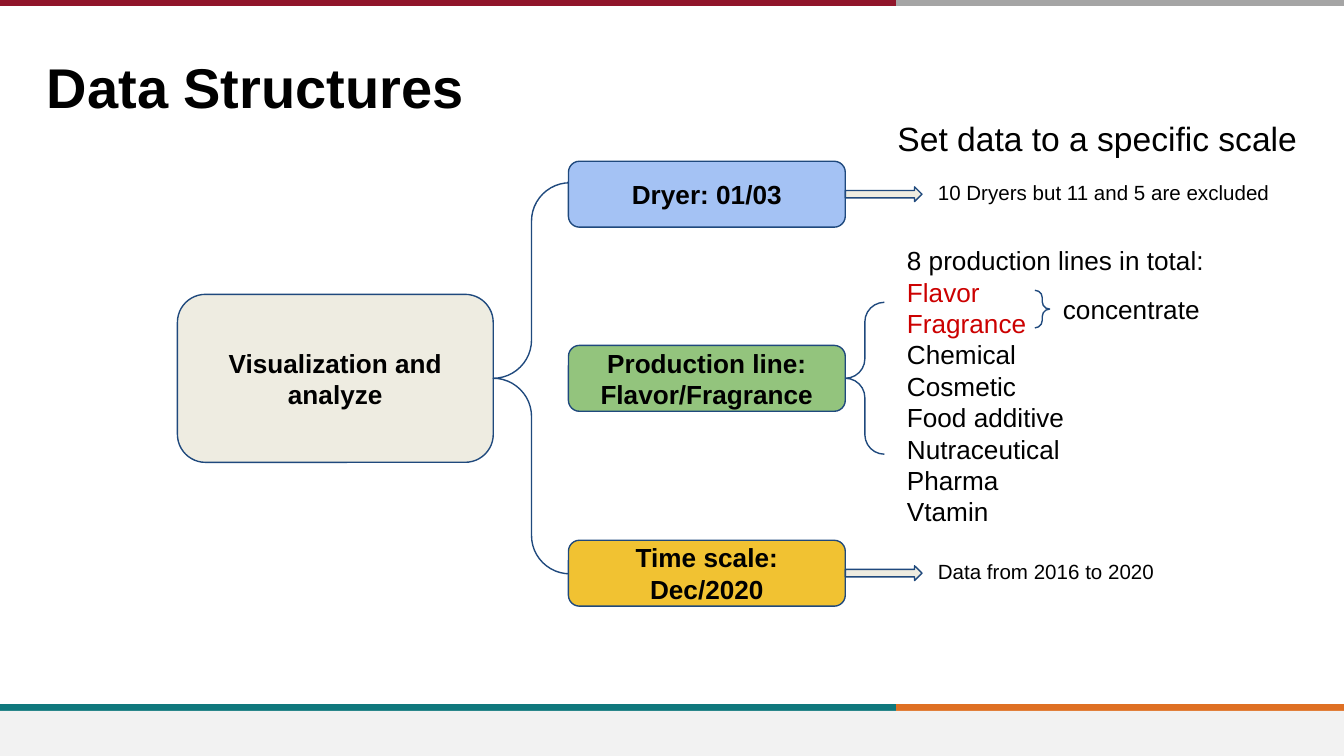
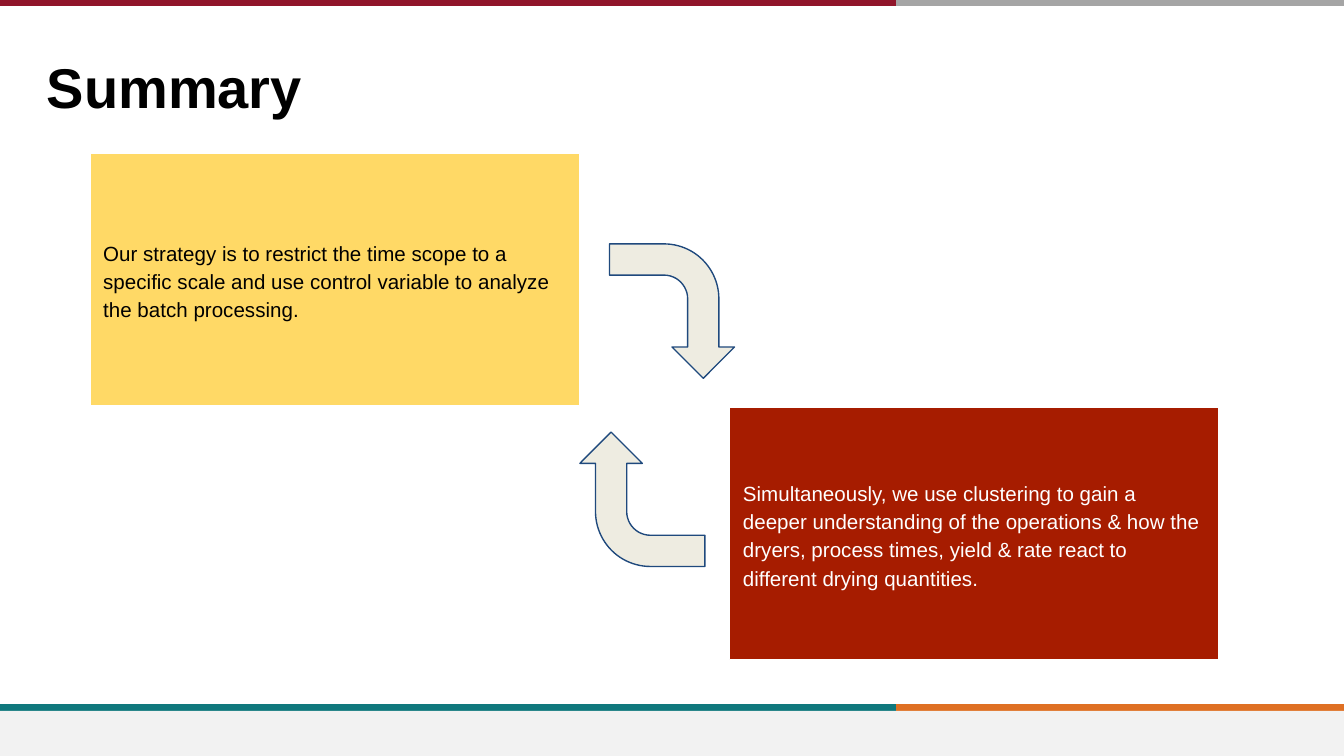
from dataclasses import dataclass

from lxml import etree
from pptx import Presentation
from pptx.dml.color import RGBColor
from pptx.enum.shapes import MSO_CONNECTOR, MSO_SHAPE
from pptx.enum.text import MSO_ANCHOR, PP_ALIGN
from pptx.oxml.ns import qn
from pptx.shapes.autoshape import Shape
from pptx.slide import Slide
from pptx.text.text import TextFrame
from pptx.util import Inches, Pt

RECT = MSO_SHAPE.RECTANGLE
ROUND = MSO_SHAPE.ROUNDED_RECTANGLE
LEFT_BRACE = MSO_SHAPE.LEFT_BRACE
RIGHT_BRACE = MSO_SHAPE.RIGHT_BRACE
ARROW = MSO_SHAPE.RIGHT_ARROW
BENT = MSO_SHAPE.BENT_ARROW
STRAIGHT = MSO_CONNECTOR.STRAIGHT
TOP, MIDDLE = MSO_ANCHOR.TOP, MSO_ANCHOR.MIDDLE
LEFT, CENTER, RIGHT = PP_ALIGN.LEFT, PP_ALIGN.CENTER, PP_ALIGN.RIGHT

FONT = "Arial"
BLACK, WHITE, RED = "000000", "FFFFFF", "CC0000"
NAVY, CREAM, PALE = "1F497D", "EEECE1", "F2F2F2"
WIDE, SPLIT = 10, 6.67
NODE_X, NODE_W, NODE_H = 4.23, 2.06, 0.49
NODE_END = NODE_X + NODE_W


@dataclass(frozen=True)
class Area:
    x: float
    y: float
    w: float
    h: float


@dataclass(frozen=True)
class Style:
    size: float
    bold: bool = False
    color: str = BLACK
    align: PP_ALIGN = LEFT
    anchor: MSO_ANCHOR = TOP
    inset: float = 0.1
    space: float = 1.0


@dataclass(frozen=True)
class Band:
    start: float
    end: float
    y: float
    color: str


@dataclass(frozen=True)
class Node:
    y: float
    fill: str
    lines: tuple[str, ...]
    note: str = ""


@dataclass(frozen=True)
class Card:
    x: float
    y: float
    fill: str
    color: str
    text: str


@dataclass(frozen=True)
class Turn:
    x: float
    y: float
    angle: float


TITLE = Style(30, bold=True, inset=0.05)
LEAD = Style(18, align=RIGHT, inset=0.05)
LABEL = Style(14, bold=True, align=CENTER, anchor=MIDDLE)
LIST = Style(14)
NOTE = Style(11)

BANDS = (
    Band(SPLIT, WIDE, 5.27, "DF7023"),
    Band(0, SPLIT, 5.27, "0F787D"),
    Band(SPLIT, WIDE, 0.02, "A5A5A5"),
    Band(0, SPLIT, 0.02, "90152A"),
)
NODES = (
    Node(1.2, "A4C2F4", ("Dryer: 01/03",), "10 Dryers but 11 and 5 are excluded"),
    Node(2.57, "93C47D", ("Production line: Flavor/Fragrance",)),
    Node(4.02, "F1C232", ("Time scale:", "Dec/2020"), "Data from 2016 to 2020"),
)
BRACES = (
    (LEFT_BRACE, Area(3.67, 1.36, 0.57, 2.91)),
    (LEFT_BRACE, Area(NODE_END, 2.25, 0.29, 1.13)),
    (RIGHT_BRACE, Area(7.7, 2.16, 0.11, 0.28)),
)
KINDS = (
    "8 production lines in total:",
    "Flavor",
    "Fragrance",
    "Chemical",
    "Cosmetic",
    "Food additive",
    "Nutraceutical",
    "Pharma",
    "Vtamin",
)
FOCUS = ("Flavor", "Fragrance")
CARDS = (
    Card(0.67, 1.14, "FFD966", BLACK,
         "Our strategy is to restrict the time scope to a specific scale "
         "and use control variable to analyze the batch processing."),
    Card(5.43, 3.03, "A61C00", WHITE,
         "Simultaneously, we use clustering to gain a deeper understanding "
         "of the operations & how the dryers, process times, yield & rate "
         "react to different drying quantities."),
)
TURNS = (Turn(4.5, 1.85, 90), Turn(4.28, 3.25, 270))


def paint(code: str) -> RGBColor:
    return RGBColor.from_string(code)


def place(area: Area) -> tuple[Inches, Inches, Inches, Inches]:
    return Inches(area.x), Inches(area.y), Inches(area.w), Inches(area.h)


def write(frame: TextFrame, lines: tuple[str, ...], style: Style,
          tints: dict[str, str] | None = None) -> None:
    frame.word_wrap = True
    frame.vertical_anchor = style.anchor
    frame.margin_left = frame.margin_right = Inches(0.1)
    frame.margin_top = frame.margin_bottom = Inches(style.inset)
    for index, line in enumerate(lines):
        para = frame.add_paragraph() if index else frame.paragraphs[0]
        para.text = line
        para.alignment = style.align
        para.line_spacing = style.space
        para.font.name = FONT
        para.font.size = Pt(style.size)
        para.font.bold = style.bold
        para.font.color.rgb = paint((tints or {}).get(line, style.color))


def add_text(slide: Slide, area: Area, lines: tuple[str, ...], style: Style,
             tints: dict[str, str] | None = None) -> None:
    box = slide.shapes.add_textbox(*place(area))
    write(box.text_frame, lines, style, tints)


def add_shape(slide: Slide, kind: MSO_SHAPE, area: Area, fill: str | None,
              line: str | None = NAVY, bends: tuple[float, ...] = ()) -> Shape:
    shape = slide.shapes.add_shape(kind, *place(area))
    shape.shadow.inherit = False
    if fill:
        shape.fill.solid()
        shape.fill.fore_color.rgb = paint(fill)
    else:
        shape.fill.background()
    if line:
        shape.line.color.rgb = paint(line)
        shape.line.width = Pt(0.75)
    else:
        shape.line.fill.background()
    for index, bend in enumerate(bends):
        shape.adjustments[index] = bend
    return shape


def add_band(slide: Slide, band: Band) -> None:
    y = Inches(band.y)
    line = slide.shapes.add_connector(
        STRAIGHT, Inches(band.start), y, Inches(band.end), y)
    line.line.color.rgb = paint(band.color)
    line.line.width = Pt(4)
    etree.SubElement(line.element.spPr, qn("a:effectLst"))


def add_page(deck: Presentation, title: str) -> Slide:
    slide = deck.slides.add_slide(deck.slide_layouts[6])
    for band in BANDS:
        add_band(slide, band)
    add_shape(slide, RECT, Area(0, 5.29, WIDE, 0.34), PALE, None)
    add_text(slide, Area(0.25, 0.34, 7.99, 0.44), (title,), TITLE)
    return slide


def add_node(slide: Slide, node: Node) -> None:
    area = Area(NODE_X, node.y, NODE_W, NODE_H)
    box = add_shape(slide, ROUND, area, node.fill)
    write(box.text_frame, node.lines, LABEL)
    if node.note:
        arrow = Area(NODE_END, node.y + 0.19, 0.57, 0.11)
        add_shape(slide, ARROW, arrow, CREAM)
        add_text(slide, Area(6.88, node.y + 0.05, 2.73, 0.39), (node.note,), NOTE)


def draw_data(deck: Presentation) -> None:
    slide = add_page(deck, "Data Structures")
    add_text(slide, Area(0.25, 0.83, 9.5, 0.33),
             ("Set data to a specific scale",), LEAD)
    root = add_shape(slide, ROUND, Area(1.32, 2.19, 2.35, 1.25), CREAM)
    write(root.text_frame, ("Visualization and analyze",), LABEL)
    for kind, area in BRACES:
        add_shape(slide, kind, area, None, bends=(0.5, 0.5))
    for node in NODES:
        add_node(slide, node)
    add_text(slide, Area(6.65, 1.72, 2.63, 2.32), KINDS, LIST,
             dict.fromkeys(FOCUS, RED))
    add_text(slide, Area(7.81, 2.08, 1.38, 0.44), ("concentrate",), LIST)


def draw_end(deck: Presentation) -> None:
    slide = add_page(deck, "Summary")
    for card in CARDS:
        area = Area(card.x, card.y, 3.64, 1.88)
        box = add_shape(slide, RECT, area, card.fill, WHITE)
        style = Style(11, color=card.color, anchor=MIDDLE, space=1.15)
        write(box.text_frame, (card.text,), style)
    for turn in TURNS:
        area = Area(turn.x, turn.y, 1, 0.93)
        arrow = add_shape(slide, BENT, area, CREAM, bends=(0.25, 0.25, 0.25, 0.44))
        arrow.rotation = turn.angle


def main() -> None:
    deck = Presentation()
    deck.slide_width = Inches(WIDE)
    deck.slide_height = Inches(WIDE * 9 / 16)
    draw_data(deck)
    draw_end(deck)
    deck.save("out.pptx")


if __name__ == "__main__":
    main()
